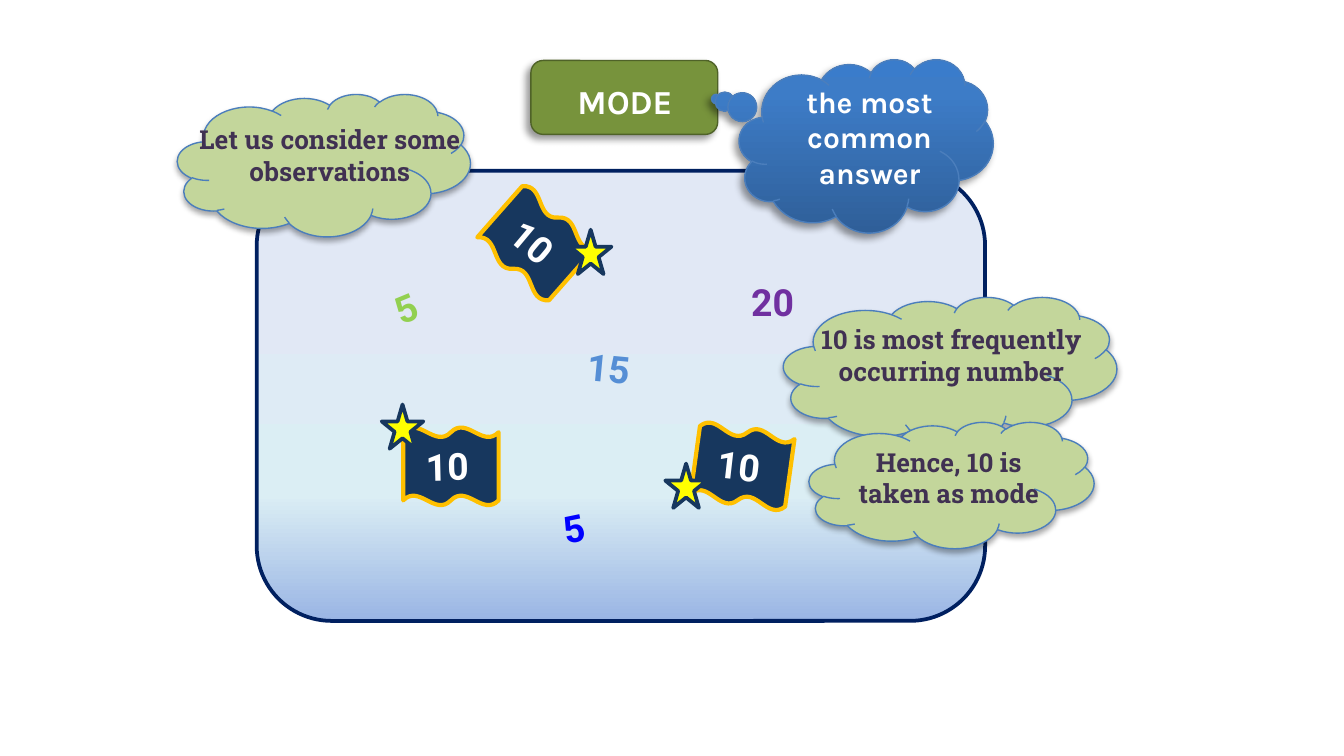
import pptx
import pptx.util
import pptx.dml.color
import pptx.enum.shapes
import pptx.enum.text
import pptx.oxml.ns
from lxml import etree

PX = 9144
SLIDE_WIDTH = 1000 * PX
SLIDE_HEIGHT = SLIDE_WIDTH * 9 // 16
SHAPE = pptx.enum.shapes.MSO_SHAPE
CENTER = pptx.enum.text.PP_ALIGN.CENTER
LEFT = pptx.enum.text.PP_ALIGN.LEFT

COLORS = {
    "white": "FFFFFF", "olive": "77933C", "olive_edge": "4F6228",
    "cloud": "C3D69B", "cloud_edge": "4B7EBC", "cloud_text": "403152",
    "navy": "002060", "flag": "17375E", "gold": "FFC000", "star": "FFFF00",
    "lime": "92D050", "sky": "558ED5", "purple": "7030A0", "blue": "0000FF",
    "panel_low": "9AB5E4", "panel_mid": "DBEEF4", "panel_high": "E1E8F5",
    "call_low": "2F5F99", "call_mid": "3D7CC7", "call_high": "3A7CCB",
    "shadow": "000000",
}
FORMATS = {
    "title": {"name": "Karla", "size": pptx.util.Pt(18), "bold": True},
    "definition": {"name": "Karla", "size": pptx.util.Pt(16), "bold": True},
    "remark": {"name": "Roboto Slab", "size": pptx.util.Pt(14), "bold": True},
    "number": {"name": "Roboto", "size": pptx.util.Pt(20), "bold": True},
}
SHADOWS = {
    "deep": {"blurRad": 4, "dist": 3, "dir": 135, "alpha": 40},
    "soft": {"blurRad": 3.1, "dist": 1.8, "dir": 90, "alpha": 35},
}


def add_child(parent, tag, **attributes):
    child = etree.SubElement(parent, pptx.oxml.ns.qn(tag))
    for name, value in attributes.items():
        child.set(name, str(value))
    return child


def rgb(color):
    return pptx.dml.color.RGBColor.from_string(COLORS[color])


class Board:
    def __init__(self, slide):
        self.slide = slide

    def figure(self, kind, box, fill, edge, weight, rotation=0, shadow=None):
        shape = self.slide.shapes.add_shape(kind, *[n * PX for n in box])
        shape.rotation = rotation
        if isinstance(fill, str):
            shape.fill.solid()
            shape.fill.fore_color.rgb = rgb(fill)
        else:
            self.gradient(shape, fill)
        shape.line.color.rgb = rgb(edge)
        shape.line.width = pptx.util.Pt(weight)
        shape.shadow.inherit = False
        if shadow:
            self.shadow(shape, **SHADOWS[shadow])
        return shape

    def gradient(self, shape, stops):
        shape.fill.gradient()
        grad = shape._element.spPr.find(pptx.oxml.ns.qn("a:gradFill"))
        for child in list(grad):
            grad.remove(child)
        stop_list = add_child(grad, "a:gsLst")
        for position, color in stops:
            stop = add_child(stop_list, "a:gs", pos=position * 1000)
            add_child(stop, "a:srgbClr", val=COLORS[color])
        add_child(grad, "a:lin", ang=270 * 60000, scaled=0)

    def shadow(self, shape, blurRad, dist, dir, alpha):
        effects = shape._element.spPr.find(pptx.oxml.ns.qn("a:effectLst"))
        outer = add_child(effects, "a:outerShdw", blurRad=round(blurRad * 12700),
                          dist=round(dist * 12700), dir=dir * 60000, rotWithShape=0)
        tint = add_child(outer, "a:srgbClr", val=COLORS["shadow"])
        add_child(tint, "a:alpha", val=alpha * 1000)

    def text(self, words, box, style, color, align=CENTER, rotation=0, wrap=True):
        label = self.slide.shapes.add_textbox(*[n * PX for n in box])
        label.rotation = rotation
        frame = label.text_frame
        frame.word_wrap = wrap
        frame.auto_size = pptx.enum.text.MSO_AUTO_SIZE.SHAPE_TO_FIT_TEXT
        paragraph = frame.paragraphs[0]
        paragraph.alignment = align
        run = paragraph.add_run()
        run.text = words
        for name, value in FORMATS[style].items():
            setattr(run.font, name, value)
        run.font.color.rgb = rgb(color)

    def number(self, value, left, top, width, color, rotation=0):
        self.text(value, (left, top, width, 44), "number", color, LEFT, rotation, False)

    def flag(self, left, top, rotation):
        self.figure(SHAPE.DOUBLE_WAVE, (left, top, 71, 58), "flag", "gold", 2.25, rotation)
        self.number("10", left + 7, top + 7, 54, "white", rotation - 1.3)

    def star(self, left, top):
        self.figure(SHAPE.STAR_5_POINT, (left, top, 31, 33), "star", "flag", 2)

    def remark(self, words, cloud_box, text_box):
        self.figure(SHAPE.CLOUD, cloud_box, "cloud", "cloud_edge", 0.75, shadow="soft")
        self.text(words, text_box, "remark", "cloud_text")


def main():
    deck = pptx.Presentation()
    deck.slide_width, deck.slide_height = SLIDE_WIDTH, SLIDE_HEIGHT
    board = Board(deck.slides.add_slide(deck.slide_layouts[6]))

    board.figure(SHAPE.ROUNDED_RECTANGLE, (395, 45, 139, 55), "olive", "olive_edge",
                 0.75, shadow="deep")
    board.text("MODE", (396, 55, 138, 40), "title", "white")
    board.figure(SHAPE.ROUNDED_RECTANGLE, (191, 127, 542, 335),
                 [(0, "panel_low"), (28, "panel_mid"), (75, "panel_high")], "navy", 2)
    board.remark("Let us consider some observations",
                 (132, 70, 218, 106), (138, 87, 215, 57))

    definition = board.figure(SHAPE.CLOUD_CALLOUT, (550, 44, 189, 129),
                              [(0, "call_low"), (80, "call_mid"), (100, "call_high")],
                              "cloud_edge", 0.75, shadow="deep")
    definition.adjustments[0], definition.adjustments[1] = -0.59, -0.27
    board.text("the most common answer", (589, 57, 116, 90), "definition", "white")

    for value, left, top, width, color, rotation in [
        ("5", 284, 207, 37, "lime", 337.5),
        ("15", 427, 252, 52, "sky", 5.5),
        ("20", 549, 203, 59, "purple", 0),
        ("5", 409, 371, 37, "blue", 348.4),
    ]:
        board.number(value, left, top, width, color, rotation)

    for left, top, rotation in [(363, 152, 41.3), (300, 318, 0), (517, 318, 7.9)]:
        board.flag(left, top, rotation)
    for left, top in [(424, 171), (284, 301), (495, 345)]:
        board.star(left, top)

    board.remark("10 is most frequently occurring number",
                 (583, 221, 248, 110), (590, 236, 236, 57))
    board.remark("Hence, 10 is taken as mode",
                 (602, 314, 212, 94), (621, 327, 170, 57))
    deck.save("out.pptx")


if __name__ == "__main__":
    main()
